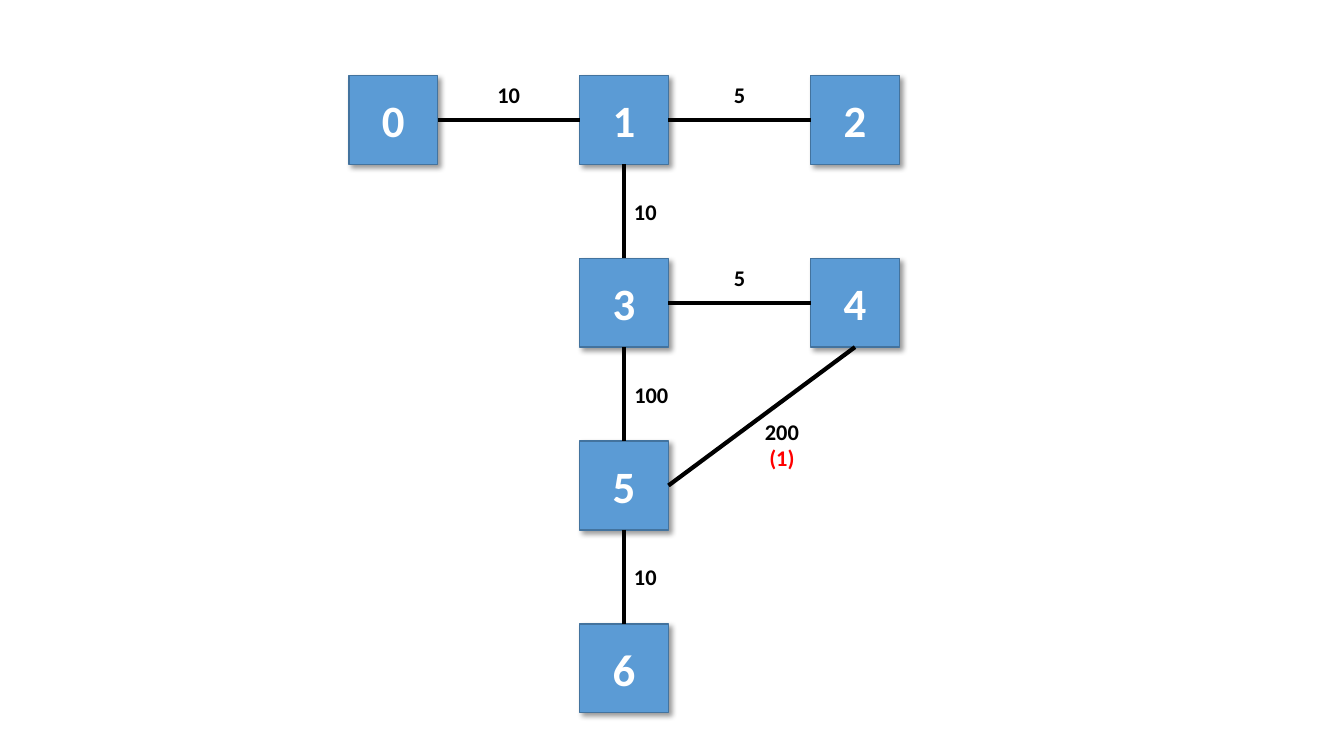
from dataclasses import dataclass

from lxml.etree import SubElement
from pptx import Presentation
from pptx.dml.color import RGBColor
from pptx.enum.shapes import MSO_CONNECTOR, MSO_SHAPE
from pptx.enum.text import MSO_ANCHOR, PP_ALIGN
from pptx.oxml import parse_xml
from pptx.oxml.ns import nsdecls, qn
from pptx.util import Inches, Pt


@dataclass(frozen=True)
class Theme:
    """Colours, font and sizes of the graph."""
    font: str = "Calibri"
    node: RGBColor = RGBColor(0x5B, 0x9B, 0xD5)
    border: RGBColor = RGBColor(0x43, 0x73, 0x9E)
    white: RGBColor = RGBColor(255, 255, 255)
    black: RGBColor = RGBColor(0, 0, 0)
    red: RGBColor = RGBColor(255, 0, 0)
    node_size: Pt = Pt(32)
    weight_size: Pt = Pt(16)
    border_width: Pt = Pt(1)
    edge_width: Pt = Pt(3)


THEME = Theme()
GRAPH_BOX = (3.46, 0.75, 5.46, 6.32)
NODE_SIDE = 0.88
COLUMNS, ROWS = 3, 4
NODES = {"0": (0, 0), "1": (1, 0), "2": (2, 0), "3": (1, 1),
         "4": (2, 1), "5": (1, 2), "6": (1, 3)}
TOP, LEFT, BOTTOM, RIGHT = range(4)
ABOVE, BESIDE, BELOW = (0, -0.25), (0.21, 0), (0.2, 0.28)
EDGES = [
    ("0", RIGHT, "1", LEFT, ["10"], ABOVE, (0.45, 0.45)),
    ("1", RIGHT, "2", LEFT, ["5"], ABOVE, (0.45, 0.45)),
    ("1", BOTTOM, "3", TOP, ["10"], BESIDE, (0.45, 0.45)),
    ("3", RIGHT, "4", LEFT, ["5"], ABOVE, (0.45, 0.45)),
    ("3", BOTTOM, "5", TOP, ["100"], (0.27, 0), (0.58, 0.45)),
    ("4", BOTTOM, "5", RIGHT, ["200", "(1)"], BELOW, (0.69, 0.58)),
    ("5", BOTTOM, "6", TOP, ["10"], BESIDE, (0.45, 0.45)),
]
SHADOW = (
    f'<a:effectLst {nsdecls("a")}><a:outerShdw blurRad="{Pt(4)}" dist="{Pt(3)}" '
    'dir="2700000" algn="tl" rotWithShape="0"><a:srgbClr val="000000">'
    '<a:alpha val="40000"/></a:srgbClr></a:outerShdw></a:effectLst>'
)


def write_lines(frame, lines, size, colors):
    """Write centred bold lines, one paragraph and colour each."""
    margins = dict.fromkeys(
        ("margin_left", "margin_right", "margin_top", "margin_bottom"), 0)
    for name, value in {"word_wrap": True, "vertical_anchor": MSO_ANCHOR.MIDDLE,
                        **margins}.items():
        setattr(frame, name, value)
    for index, (line, color) in enumerate(zip(lines, colors)):
        paragraph = frame.add_paragraph() if index else frame.paragraphs[0]
        paragraph.alignment = PP_ALIGN.CENTER
        run = paragraph.add_run()
        run.text = line
        for name, value in {"name": THEME.font, "size": size, "bold": True}.items():
            setattr(run.font, name, value)
        run.font.color.rgb = color


def add_node(shapes, number, left, top):
    """Add a shadowed square that carries its node number."""
    node = shapes.add_shape(MSO_SHAPE.RECTANGLE, Inches(left), Inches(top),
                            Inches(NODE_SIDE), Inches(NODE_SIDE))
    node.fill.solid()
    node.fill.fore_color.rgb = THEME.node
    node.line.color.rgb = THEME.border
    node.line.width = THEME.border_width
    node._element.spPr.append(parse_xml(SHADOW))
    write_lines(node.text_frame, [number], THEME.node_size, [THEME.white])
    return node


def add_edge(shapes, start, start_side, end, end_side):
    """Join two nodes at the given sides."""
    edge = shapes.add_connector(MSO_CONNECTOR.STRAIGHT, 0, 0, 0, 0)
    edge.begin_connect(start, start_side)
    edge.end_connect(end, end_side)
    edge.line.color.rgb = THEME.black
    edge.line.width = THEME.edge_width
    SubElement(edge._element.spPr, qn("a:effectLst"))
    return edge


def add_weight(shapes, edge, lines, offset, size):
    """Centre a weight label at an offset from the middle of its edge."""
    width, height = map(Inches, size)
    left = (edge.begin_x + edge.end_x - width) // 2 + Inches(offset[0])
    top = (edge.begin_y + edge.end_y - height) // 2 + Inches(offset[1])
    weight = shapes.add_textbox(left, top, width, height)
    write_lines(weight.text_frame, lines, THEME.weight_size, [THEME.black, THEME.red])


def add_graph(slide, box):
    """Lay the weighted graph out on a grid that fills the box."""
    left, top, width, height = box
    column_step = (width - NODE_SIDE) / (COLUMNS - 1)
    row_step = (height - NODE_SIDE) / (ROWS - 1)
    shapes = slide.shapes.add_group_shape().shapes
    nodes = {number: add_node(shapes, number, left + column * column_step,
                              top + row * row_step)
             for number, (column, row) in NODES.items()}
    edges = [add_edge(shapes, nodes[start], start_side, nodes[end], end_side)
             for start, start_side, end, end_side, *_ in EDGES]
    for edge, (*_, lines, offset, size) in zip(edges, EDGES):
        add_weight(shapes, edge, lines, offset, size)


def main():
    """Build and save the slide."""
    deck = Presentation()
    deck.slide_width, deck.slide_height = Inches(13.33), Inches(7.5)
    slide = deck.slides.add_slide(deck.slide_layouts[6])
    add_graph(slide, GRAPH_BOX)
    deck.save("out.pptx")


main()
